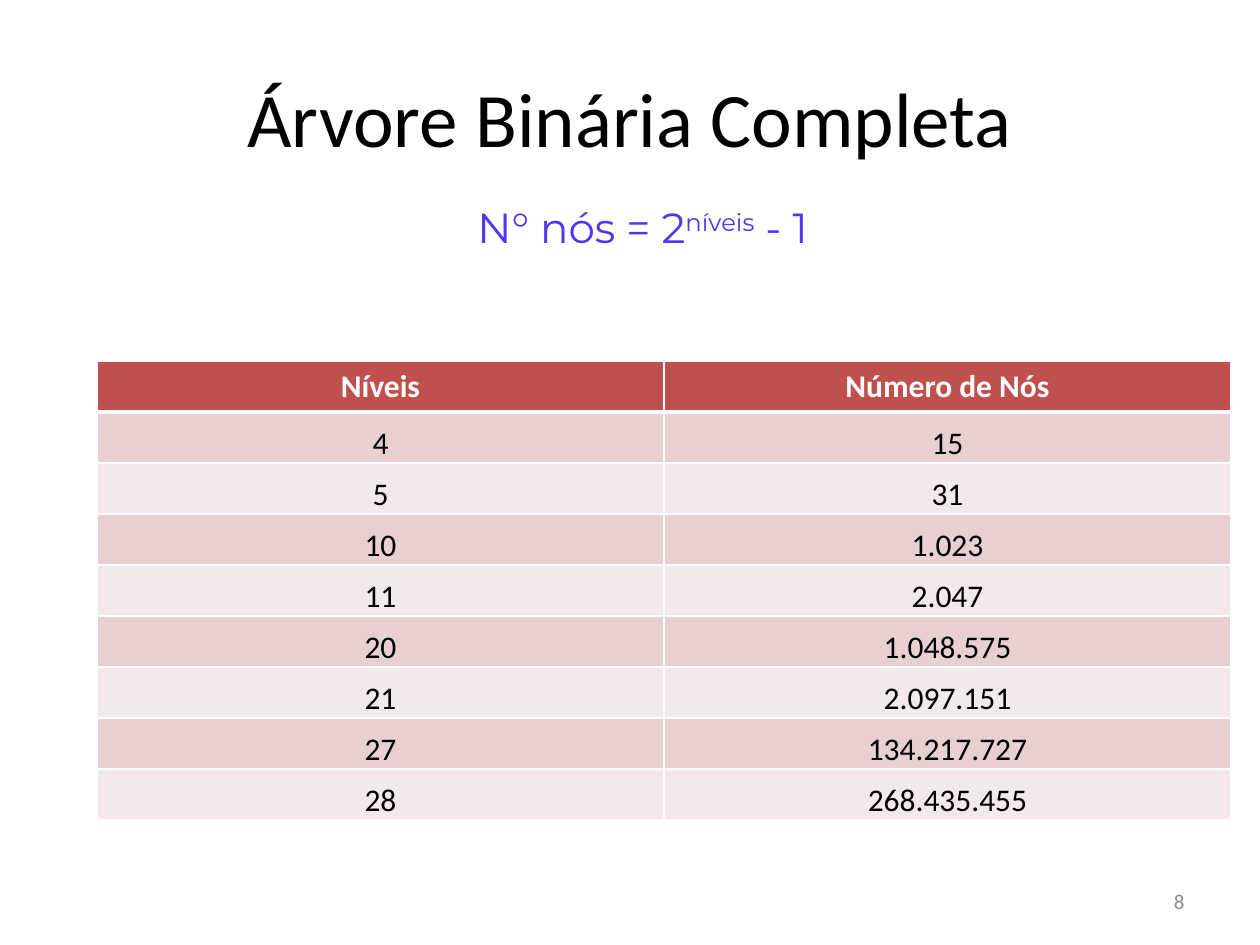
from dataclasses import dataclass

from lxml.etree import SubElement
from pptx import Presentation
from pptx.dml.color import RGBColor
from pptx.enum.text import MSO_ANCHOR, PP_ALIGN
from pptx.oxml.ns import qn
from pptx.util import Inches, Pt


@dataclass(frozen=True)
class Theme:
    font: str = "Calibri"
    formula_font: str = "Montserrat"
    black: str = "000000"
    white: str = "FFFFFF"
    formula: str = "5035F5"
    header: str = "C0504D"
    bands: tuple = ("E8D0D0", "F4E9E9")
    number: str = "8C8C8C"
    title_size: int = 44
    formula_size: int = 24
    table_size: int = 18
    number_size: int = 12


theme = Theme()
WIDTH, HEIGHT = Inches(10), Inches(7.5)
ROWS = [
    ("Níveis", "Número de Nós"),
    ("4", "15"),
    ("5", "31"),
    ("10", "1.023"),
    ("11", "2.047"),
    ("20", "1.048.575"),
    ("21", "2.097.151"),
    ("27", "134.217.727"),
    ("28", "268.435.455"),
]


def style(paragraph, align, font, size, color, bold=False):
    paragraph.alignment = align
    paragraph.font.name = font
    paragraph.font.size = Pt(size)
    paragraph.font.bold = bold
    paragraph.font.color.rgb = RGBColor.from_string(color)


def add_border(cell, side, points):
    """Draw one white edge; call it before the cell gets its fill."""
    properties = cell._tc.get_or_add_tcPr()
    line = SubElement(properties, qn(f"a:ln{side}"), w=str(Pt(points)))
    SubElement(SubElement(line, qn("a:solidFill")), qn("a:srgbClr"), val=theme.white)


deck = Presentation()
deck.slide_width, deck.slide_height = WIDTH, HEIGHT
page = deck.slides.add_slide(deck.slide_layouts[6])

# Text: left, top, width and height are shares of the slide
texts = [
    ((0.05, 0.04, 0.9, 1 / 6), ["Árvore Binária Completa"], MSO_ANCHOR.MIDDLE,
     (PP_ALIGN.CENTER, theme.font, theme.title_size, theme.black)),
    ((0.72, 0.927, 0.23, 0.053), ["8"], MSO_ANCHOR.MIDDLE,
     (PP_ALIGN.RIGHT, theme.font, theme.number_size, theme.number)),
    ((0.3, 0.207, 0.42, 0.067), ["N° nós = 2", "níveis", " - 1"], MSO_ANCHOR.TOP,
     (PP_ALIGN.CENTER, theme.formula_font, theme.formula_size, theme.formula)),
]
for (left, top, width, height), spans, anchor, look in texts:
    box = page.shapes.add_textbox(
        int(left * WIDTH), int(top * HEIGHT), int(width * WIDTH), int(height * HEIGHT))
    box.text_frame.word_wrap = True
    box.text_frame.vertical_anchor = anchor
    paragraph = box.text_frame.paragraphs[0]
    style(paragraph, *look)
    for text in spans:
        span = paragraph.add_run()
        span.text = text
        if text == "níveis":
            span.font._element.set("baseline", "30000")

# Table of levels and node counts
row_height = int(0.054 * HEIGHT)
table = page.shapes.add_table(
    len(ROWS), 2, int(0.077 * WIDTH), int(0.382 * HEIGHT),
    int(0.9 * WIDTH), row_height * len(ROWS)).table
for row_index, values in enumerate(ROWS):
    is_header = row_index == 0
    edges = {"L": 1, "R": 1, "T": 3 if row_index == 1 else 1, "B": 3 if is_header else 1}
    for column_index, value in enumerate(values):
        cell = table.cell(row_index, column_index)
        cell.text = value
        if not is_header:
            cell.vertical_anchor = MSO_ANCHOR.BOTTOM
            cell.margin_left = cell.margin_right = cell.margin_top = Inches(0.01)
            cell.margin_bottom = 0
        for side, points in edges.items():
            add_border(cell, side, points)
        cell.fill.solid()
        cell.fill.fore_color.rgb = RGBColor.from_string(
            theme.header if is_header else theme.bands[(row_index - 1) % 2])
        style(cell.text_frame.paragraphs[0], PP_ALIGN.CENTER, theme.font, theme.table_size,
              theme.white if is_header else theme.black, is_header)

deck.save("out.pptx")
